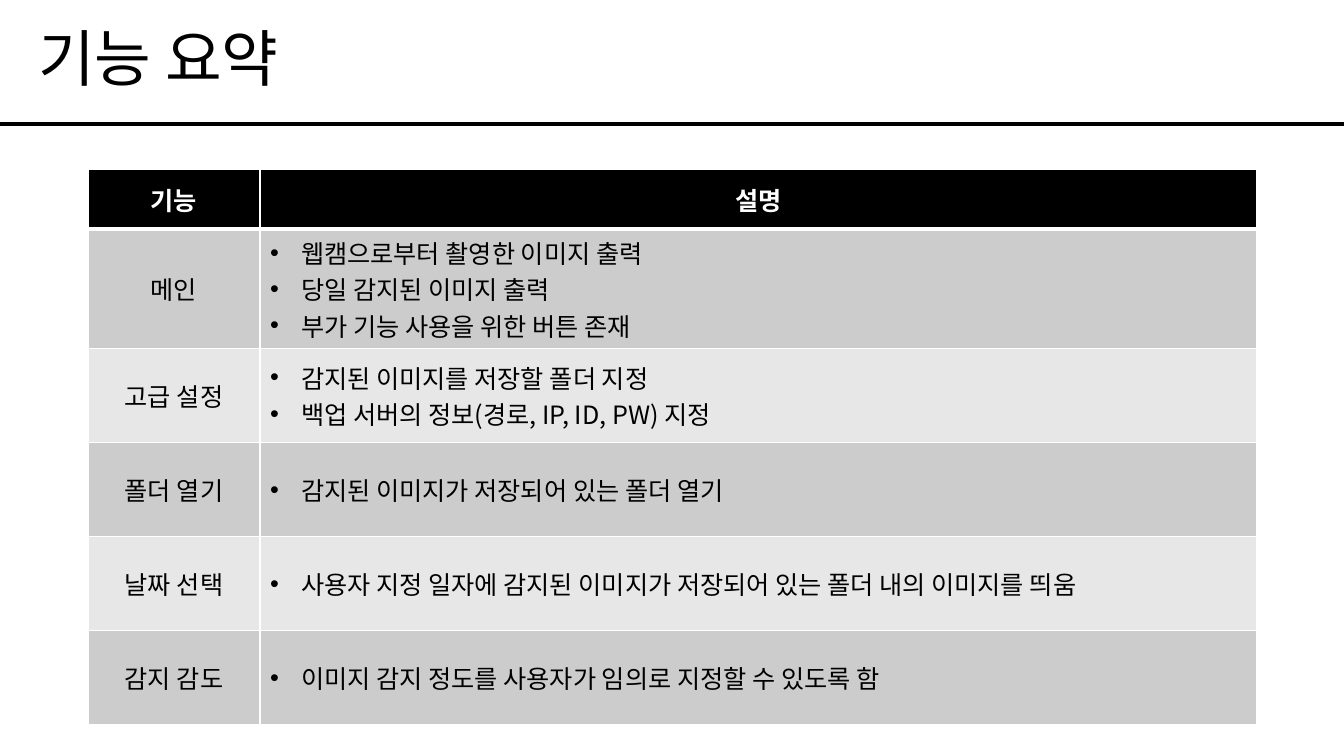
from lxml.etree import SubElement
from pptx import Presentation
from pptx.dml.color import RGBColor
from pptx.enum.shapes import MSO_CONNECTOR as CONN
from pptx.enum.text import MSO_ANCHOR as ANCHOR, PP_ALIGN as ALIGN
from pptx.oxml.ns import qn
from pptx.util import Pt

# Content
TITLE = "기능 요약"
HEADER = ["기능", "설명"]
FEATURES = [
    ("메인", ["웹캠으로부터 촬영한 이미지 출력",
            "당일 감지된 이미지 출력",
            "부가 기능 사용을 위한 버튼 존재"]),
    ("고급 설정", ["감지된 이미지를 저장할 폴더 지정",
               "백업 서버의 정보(경로, IP, ID, PW) 지정"]),
    ("폴더 열기", ["감지된 이미지가 저장되어 있는 폴더 열기"]),
    ("날짜 선택", ["사용자 지정 일자에 감지된 이미지가 저장되어 있는 폴더 내의 이미지를 띄움"]),
    ("감지 감도", ["이미지 감지 정도를 사용자가 임의로 지정할 수 있도록 함"]),
]

# Style and layout, lengths in px
FONT = "Noto Sans CJK KR"
COLORS = {"black": "000000", "white": "FFFFFF", "odd": "CCCCCC", "even": "E7E7E7"}
SLIDE_W, SLIDE_H = 1344, 756
TITLE_H, TITLE_INSET = 124, 38
TABLE_X, TABLE_Y = 88, 169
COL_W = [172, 997]
HEAD_H, ROW_H = 60, 94
BULLET_INDENT = 31


def px(n):
    return round(n * 914400 / 100.8)


def rgb(name):
    return RGBColor.from_string(COLORS[name])


def write(tf, lines, size=18, color="black", bold=False, align=None,
          bullet=False, spacing=None):
    for i, line in enumerate(lines):
        p = tf.paragraphs[0] if i == 0 else tf.add_paragraph()
        p.alignment = align
        p.line_spacing = spacing
        if bullet:
            pPr = p._p.get_or_add_pPr()
            pPr.set("marL", str(px(BULLET_INDENT)))
            pPr.set("indent", str(-px(BULLET_INDENT)))
            SubElement(pPr, qn("a:buFont"), typeface="Arial")
            SubElement(pPr, qn("a:buChar"), char="•")
        r = p.add_run()
        r.text = line
        r.font.size, r.font.bold, r.font.name = Pt(size), bold, FONT
        r.font.color.rgb = rgb(color)
        SubElement(r._r.get_or_add_rPr(), qn("a:ea"), typeface=FONT)


def style_cell(cell, fill, top=1, bottom=1):
    cell.vertical_anchor = ANCHOR.MIDDLE
    tcPr = cell._tc.get_or_add_tcPr()
    for side, width in zip("LRTB", (1, 1, top, bottom)):
        ln = SubElement(tcPr, qn(f"a:ln{side}"), w=str(Pt(width)))
        SubElement(SubElement(ln, qn("a:solidFill")), qn("a:srgbClr"), val=COLORS["white"])
    cell.fill.solid()
    cell.fill.fore_color.rgb = rgb(fill)


prs = Presentation()
prs.slide_width, prs.slide_height = px(SLIDE_W), px(SLIDE_H)
s = prs.slides.add_slide(prs.slide_layouts[6])

# Rule under the title
rule = s.shapes.add_connector(CONN.STRAIGHT, 0, px(TITLE_H), px(SLIDE_W), px(TITLE_H))
rule.line.color.rgb = rgb("black")
rule.line.width = Pt(2.25)
SubElement(rule._element.spPr, qn("a:effectLst"))

# Feature table
n_rows = len(FEATURES) + 1
frame = s.shapes.add_table(n_rows, len(COL_W), px(TABLE_X), px(TABLE_Y),
                           px(sum(COL_W)), px(HEAD_H + ROW_H * len(FEATURES)))
table = frame.table
for col, width in zip(table.columns, COL_W):
    col.width = px(width)
for i, row in enumerate(table.rows):
    row.height = px(ROW_H if i else HEAD_H)

for c, label in enumerate(HEADER):
    cell = table.cell(0, c)
    style_cell(cell, "black", bottom=3)
    write(cell.text_frame, [label], color="white", bold=True, align=ALIGN.CENTER)

for i, (feature, notes) in enumerate(FEATURES, 1):
    name_cell, note_cell = table.cell(i, 0), table.cell(i, 1)
    for cell in (name_cell, note_cell):
        style_cell(cell, "odd" if i % 2 else "even", top=3 if i == 1 else 1)
    write(name_cell.text_frame, [feature], align=ALIGN.CENTER)
    write(note_cell.text_frame, notes, bullet=True)

# Title
tf = s.shapes.add_textbox(0, 0, px(SLIDE_W), px(TITLE_H)).text_frame
tf.word_wrap = True
tf.vertical_anchor = ANCHOR.MIDDLE
tf.margin_left = px(TITLE_INSET)
write(tf, [TITLE], size=44, spacing=0.9)

prs.save("out.pptx")
